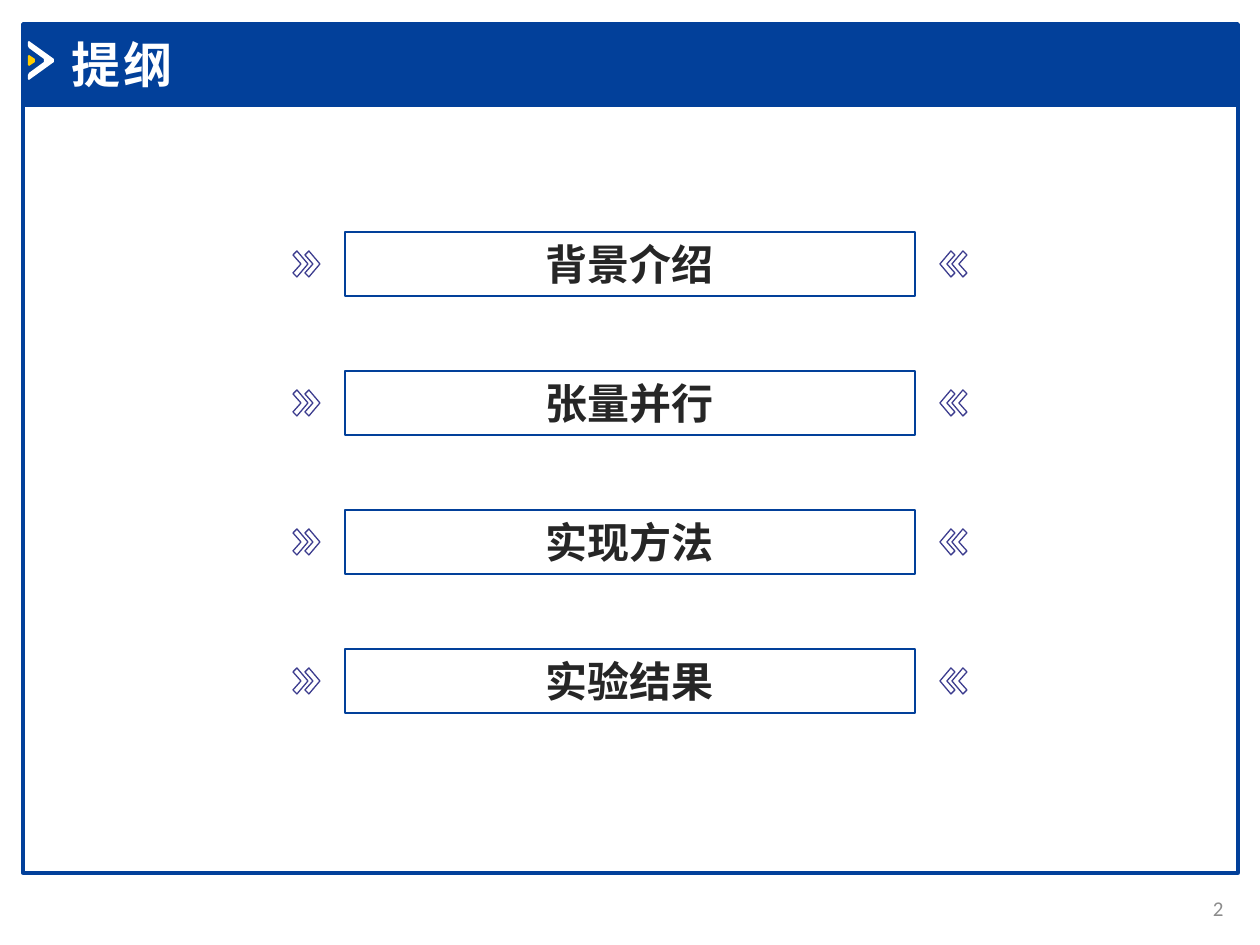
from dataclasses import dataclass

from lxml.etree import SubElement
from pptx import Presentation
from pptx.dml.color import RGBColor
from pptx.enum.shapes import MSO_SHAPE
from pptx.enum.text import MSO_ANCHOR, PP_ALIGN
from pptx.oxml.ns import qn
from pptx.util import Emu, Pt

PX = 914400 / 126


@dataclass(frozen=True)
class Theme:
    blue: str = "02409A"
    indigo: str = "3C3C8E"
    yellow: str = "FFCC00"
    white: str = "FFFFFF"
    ink: str = "262626"
    grey: str = "8C8C8C"
    title_size: int = 28
    item_size: int = 24
    number_size: int = 12
    latin: str = "Calibri"
    cjk: str = "Noto Sans CJK SC"


theme = Theme()


def style_shape(sp, fill=None, line=None, width=0):
    sp.shadow.inherit = False
    if fill:
        sp.fill.solid()
        sp.fill.fore_color.rgb = RGBColor.from_string(fill)
    else:
        sp.fill.background()
    if line:
        sp.line.color.rgb = RGBColor.from_string(line)
        sp.line.width = Pt(width)
    else:
        sp.line.fill.background()


def write(sp, text, size, color, align, font, bold=False):
    tf = sp.text_frame
    tf.word_wrap = True
    tf.vertical_anchor = MSO_ANCHOR.MIDDLE
    tf.text = text
    p = tf.paragraphs[0]
    p.alignment = align
    r = p.runs[0]
    r.font.size = Pt(size)
    r.font.bold = bold
    r.font.name = font
    r.font.color.rgb = RGBColor.from_string(color)
    SubElement(r.font._element, qn("a:ea"), typeface=theme.cjk)
    return r


prs = Presentation()
prs.slide_width, prs.slide_height = Emu(round(1260 * PX)), Emu(round(945 * PX))
s = prs.slides.add_slide(prs.slide_layouts[5])

# Frame and header bar
for top, height, fill in ((105, 768, None), (24, 81, theme.blue)):
    box = [Emu(round(v * PX)) for v in (23, top, 1215, height)]
    sp = s.shapes.add_shape(MSO_SHAPE.RECTANGLE, *box)
    style_shape(sp, fill, theme.blue, 2)

# Header arrow, with slightly blunted corners
header_arrow = [(28, 42), (29, 41), (54, 59), (54, 62), (29, 80), (28, 79),
                (28, 75), (29, 73), (44, 62), (44, 59), (29, 48), (28, 46)]
arrow_core = [(28, 56), (29, 55), (35, 59), (35, 62), (29, 66), (28, 65)]
for points, color in ((header_arrow, theme.white), (arrow_core, theme.yellow)):
    builder = s.shapes.build_freeform(*points[0], scale=PX)
    builder.add_line_segments(points[1:])
    style_shape(builder.convert_to_shape(), fill=color)

# Agenda boxes, each flanked by a pair of chevrons on both sides
chevron = [(4, -13), (0, -9), (8, 0), (0, 9), (4, 13), (15, 0)]
chevron_starts = [(293, 1), (305, 1), (967, -1), (955, -1)]
item_top, item_pitch, item_height = 232, 139, 64
for i, item in enumerate(("背景介绍", "张量并行", "实现方法", "实验结果")):
    top = item_top + i * item_pitch
    box = [Emu(round(v * PX)) for v in (345, top, 570, item_height)]
    sp = s.shapes.add_shape(MSO_SHAPE.RECTANGLE, *box)
    style_shape(sp, line=theme.blue, width=1.5)
    write(sp, item, theme.item_size, theme.ink, PP_ALIGN.CENTER, theme.cjk, bold=True)
    middle = top + item_height // 2
    for x, direction in chevron_starts:
        points = [(x + direction * dx, middle + dy) for dx, dy in chevron]
        builder = s.shapes.build_freeform(*points[0], scale=PX)
        builder.add_line_segments(points[1:])
        style_shape(builder.convert_to_shape(), line=theme.indigo, width=0.75)

# Slide number
box = [Emu(round(v * PX)) for v in (1162, 883, 74, 50)]
number = s.shapes.add_textbox(*box)
write(number, "2", theme.number_size, theme.grey, PP_ALIGN.RIGHT, theme.latin)

# Title, brought in front of the header bar
title = s.shapes.title
title.left, title.top, title.width, title.height = (
    Emu(round(v * PX)) for v in (59, 28, 449, 72))
r = write(title, "提纲", theme.title_size, theme.white, PP_ALIGN.LEFT, theme.latin, bold=True)
r.font._element.set("spc", "200")
title.element.getparent().append(title.element)

prs.save("out.pptx")
